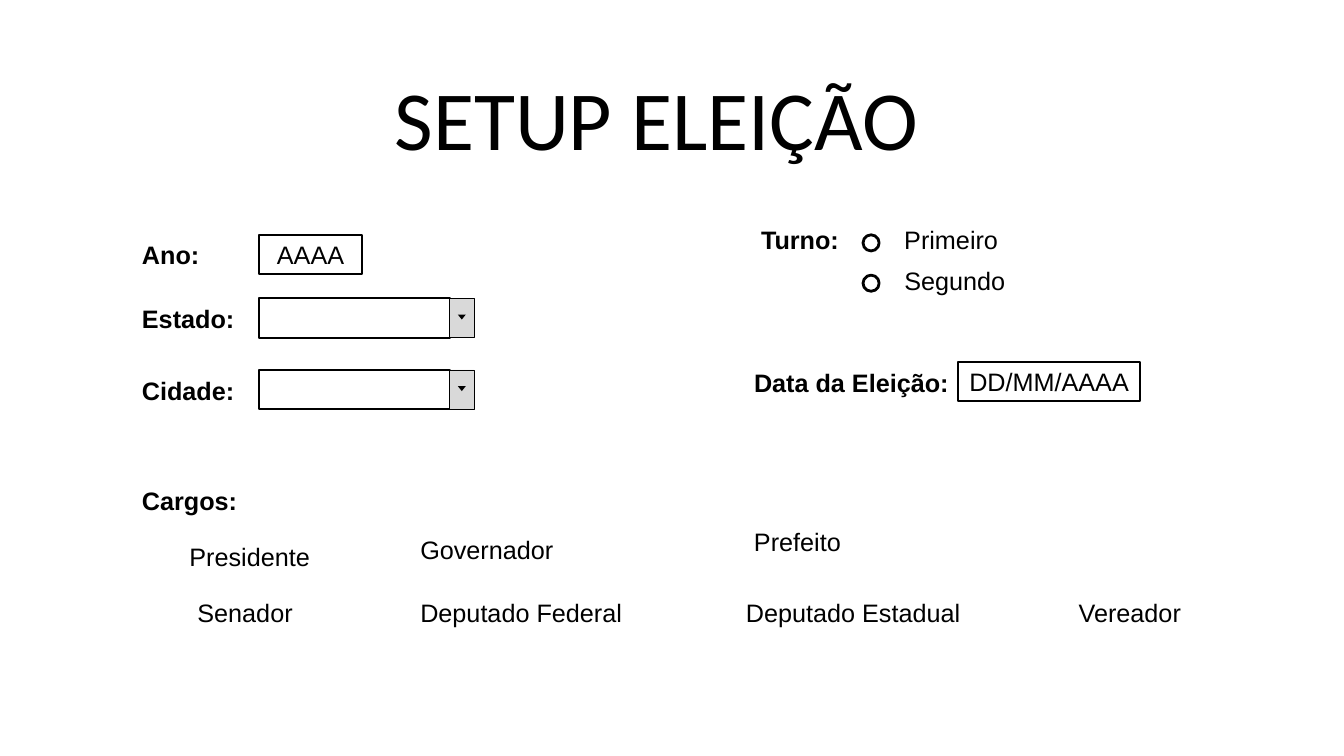
from pptx import Presentation
from pptx.dml.color import RGBColor
from pptx.enum.shapes import MSO_SHAPE
from pptx.enum.text import MSO_ANCHOR, MSO_AUTO_SIZE, PP_ALIGN
from pptx.util import Inches, Pt


def color(value):
    """Turn a hex string into a colour."""
    return RGBColor.from_string(value)


class FormSlide:
    """Draws the parts of a form on one slide in a shared style."""

    ink = "000000"
    button_fill = "D9D9D9"
    font = "Arial"
    text_size = 18
    row_height = 0.4
    field_height = 0.39
    field_left = 2.57

    def __init__(self, slide):
        """Keep the slide to draw on."""
        self.slide = slide

    def add_text(self, frame, text, bold=False, size=text_size, font=font, align=PP_ALIGN.LEFT):
        """Add one styled run to the first paragraph of a text frame."""
        paragraph = frame.paragraphs[0]
        paragraph.alignment = align
        run = paragraph.add_run()
        run.text = text
        run.font.size = Pt(size)
        run.font.name = font
        run.font.bold = bold
        run.font.color.rgb = color(self.ink)

    def set_margins(self, frame, margin):
        """Give a text frame the same margin on all sides."""
        frame.margin_left = frame.margin_right = Inches(margin)
        frame.margin_top = frame.margin_bottom = Inches(margin)

    def title(self, text):
        """Add the centred heading."""
        box = self.slide.shapes.add_textbox(Inches(0.76), Inches(0.21), Inches(11.5), Inches(1.45))
        frame = box.text_frame
        frame.word_wrap = False
        frame.vertical_anchor = MSO_ANCHOR.BOTTOM
        self.set_margins(frame, 0)
        self.add_text(frame, text, size=60, font="Calibri", align=PP_ALIGN.CENTER)

    def label(self, text, left, top, width, bold=False):
        """Add a line of text that fits its box."""
        box = self.slide.shapes.add_textbox(
            Inches(left), Inches(top), Inches(width), Inches(self.row_height))
        frame = box.text_frame
        frame.word_wrap = False
        frame.auto_size = MSO_AUTO_SIZE.SHAPE_TO_FIT_TEXT
        self.add_text(frame, text, bold)

    def shape(self, kind, left, top, width, height, fill=None, line=None):
        """Add a preset shape with an optional fill and line width."""
        shape = self.slide.shapes.add_shape(
            kind, Inches(left), Inches(top), Inches(width), Inches(height))
        shape.shadow.inherit = False
        if fill:
            shape.fill.solid()
            shape.fill.fore_color.rgb = color(fill)
        else:
            shape.fill.background()
        if line:
            shape.line.width = Pt(line)
            shape.line.color.rgb = color(self.ink)
        else:
            shape.line.fill.background()
        return shape

    def field(self, left, top, width, text=None):
        """Add an outlined input field with an optional format hint."""
        shape = self.shape(MSO_SHAPE.RECTANGLE, left, top, width, self.field_height, line=1.5)
        if text:
            frame = shape.text_frame
            frame.vertical_anchor = MSO_ANCHOR.MIDDLE
            self.set_margins(frame, 0.1)
            self.add_text(frame, text, align=PP_ALIGN.CENTER)

    def dropdown(self, top):
        """Add an empty field with an arrow button at its right end."""
        width, button_width = 1.89, 0.24
        button_left = self.field_left + width
        self.field(self.field_left, top, width)
        self.shape(MSO_SHAPE.RECTANGLE, button_left, top, button_width,
                   self.field_height, self.button_fill, 0.25)
        arrow = self.shape(MSO_SHAPE.ISOSCELES_TRIANGLE, button_left + 0.08, top + 0.16,
                           0.08, 0.05, self.ink)
        arrow.rotation = 180

    def radio(self, text, top, width):
        """Add a radio button and its caption."""
        self.shape(MSO_SHAPE.OVAL, 8.56, top + 0.15, 0.16, 0.16, line=2)
        self.label(text, 8.87, top, width)


presentation = Presentation()
presentation.slide_width = Inches(13.33)
presentation.slide_height = Inches(7.5)
form = FormSlide(presentation.slides.add_slide(presentation.slide_layouts[6]))

form.title("SETUP ELEIÇÃO")

LABELS = [
    ("Ano:", 1.31, 2.33, 0.78),
    ("Estado:", 1.31, 2.96, 1.13),
    ("Cidade:", 1.31, 3.67, 1.13),
    ("Cargos:", 1.31, 4.77, 1.16),
    ("Turno: ", 7.45, 2.18, 1.05),
    ("Data da Eleição: ", 7.38, 3.59, 2.22),
]
for text, left, top, width in LABELS:
    form.label(text, left, top, width, bold=True)

form.field(form.field_left, 2.33, 1.02, "AAAA")
form.field(9.5, 3.59, 1.81, "DD/MM/AAAA")
for top in (2.96, 3.67):
    form.dropdown(top)

form.radio("Primeiro", 2.18, 1.14)
form.radio("Segundo", 2.58, 1.21)

OFFICES = [
    ("Presidente", 1.78, 5.32, 1.41),
    ("Governador", 4.07, 5.25, 1.53),
    ("Prefeito", 7.38, 5.17, 1.07),
    ("Senador", 1.86, 5.88, 1.16),
    ("Deputado Federal", 4.07, 5.88, 2.22),
    ("Deputado Estadual", 7.3, 5.88, 2.35),
    ("Vereador", 10.6, 5.88, 1.23),
]
for text, left, top, width in OFFICES:
    form.label(text, left, top, width)

presentation.save("out.pptx")
